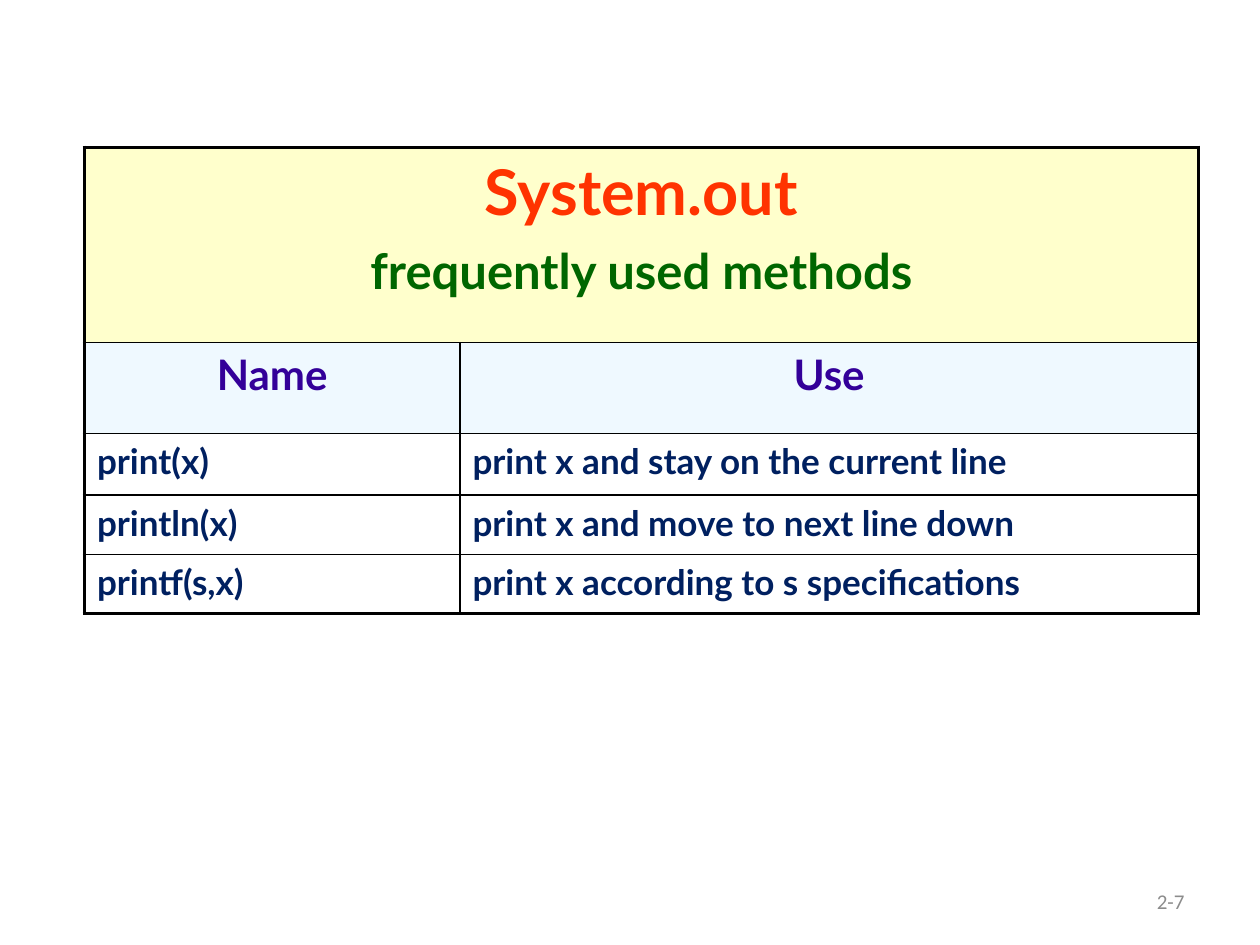
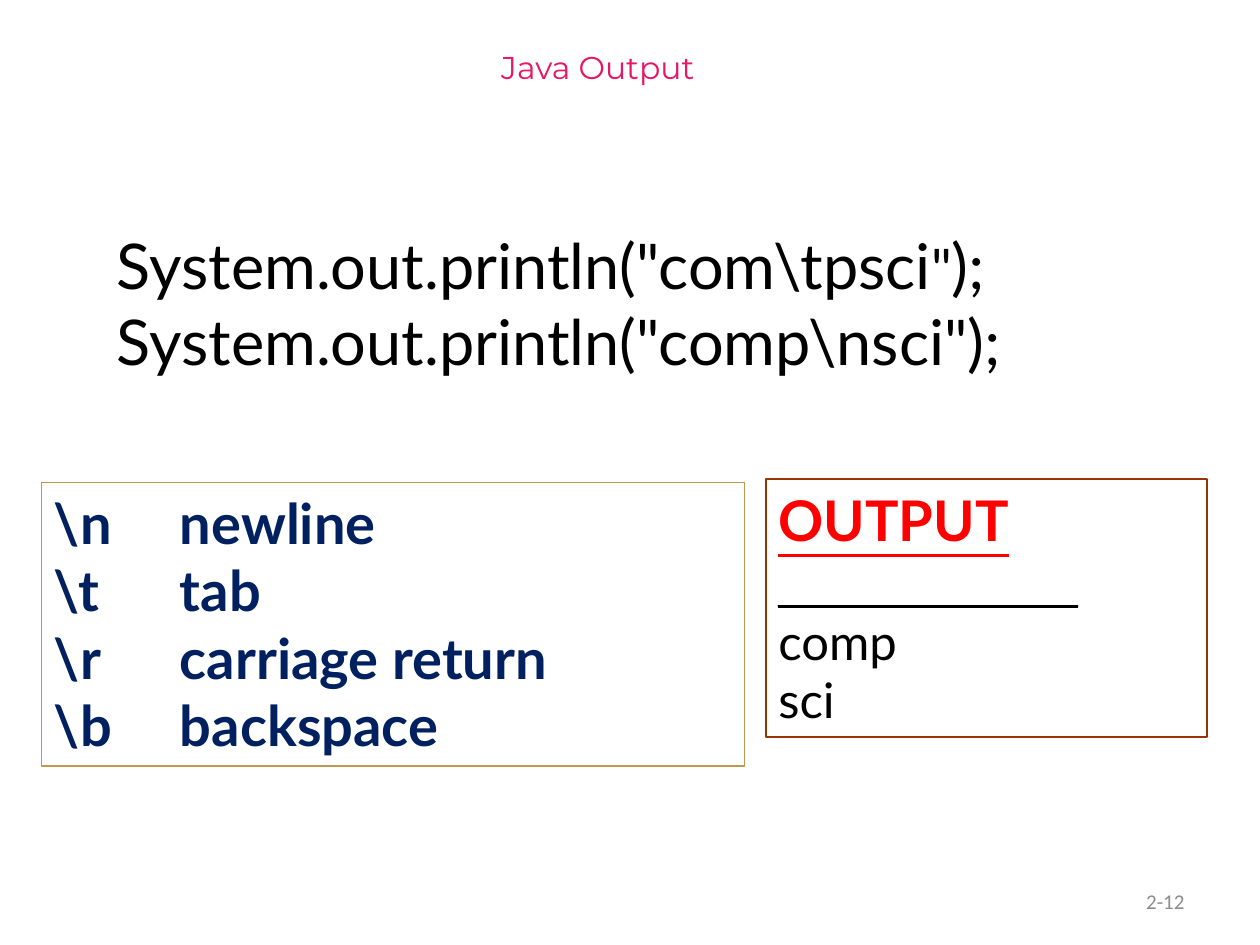
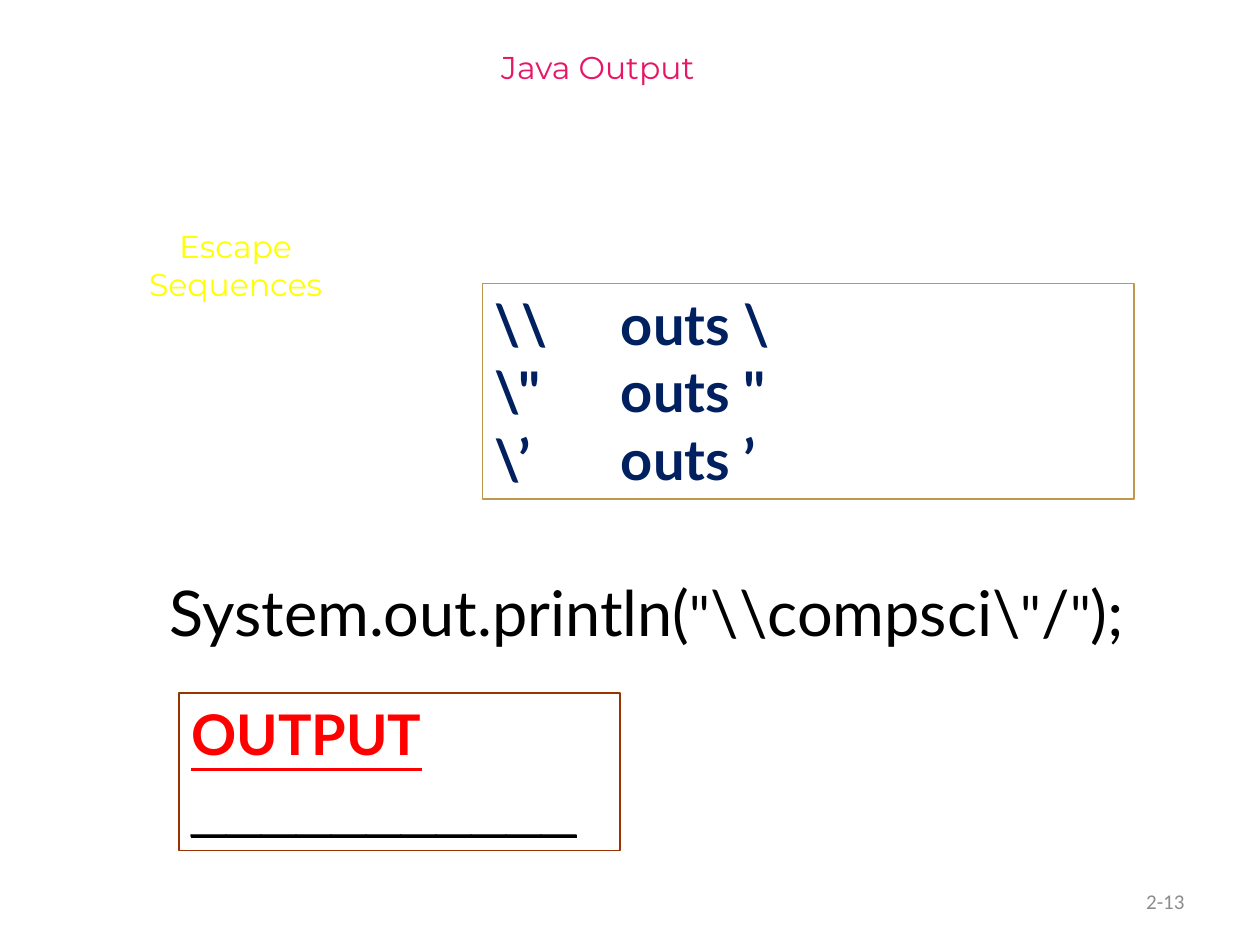
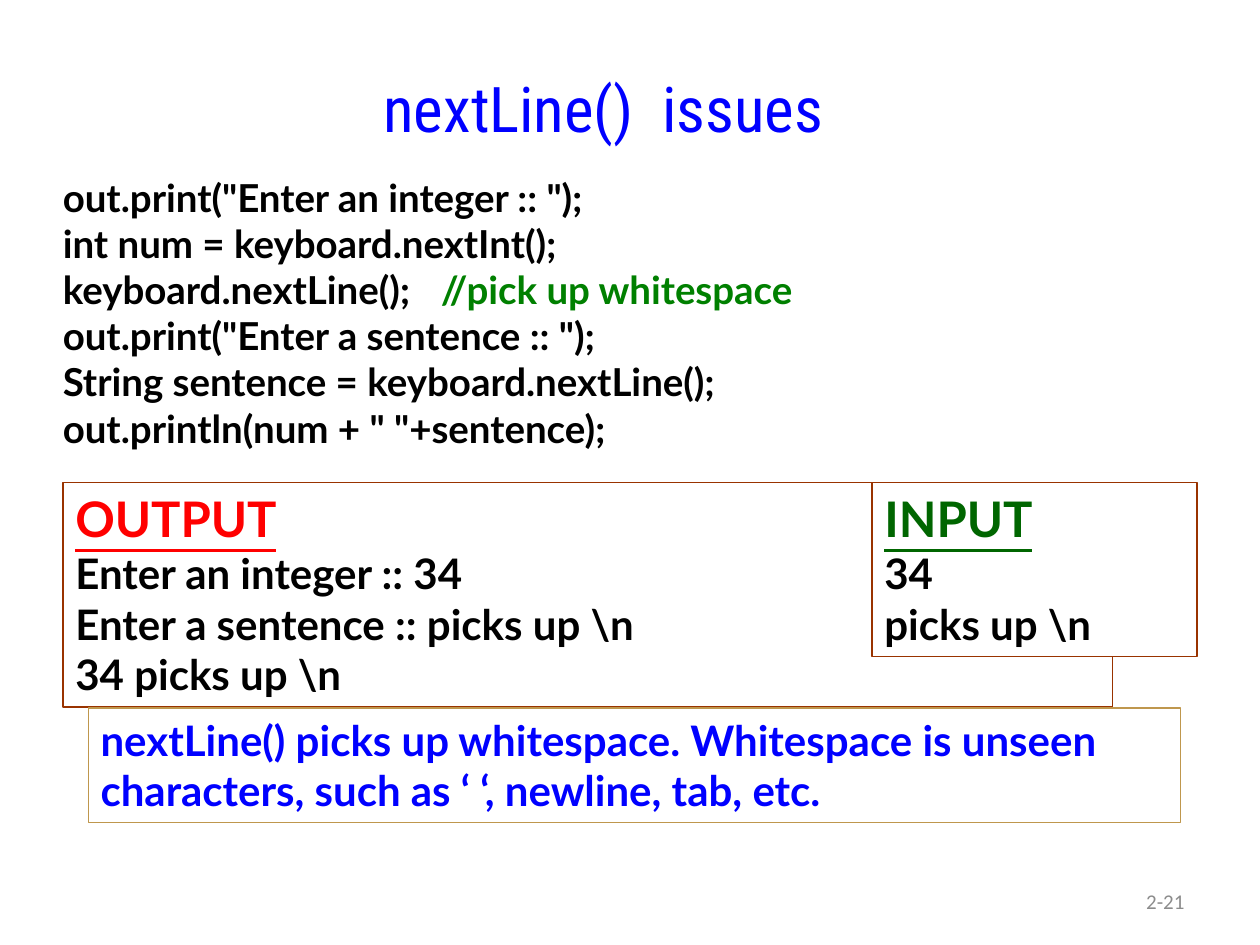
from lxml import etree
from pptx import Presentation
from pptx.dml.color import RGBColor
from pptx.enum import shapes, text
from pptx.oxml.ns import qn
from pptx.util import Inches, Pt

BLACK, NAVY, RED, GREEN, BLUE = "000000", "002060", "FF0000", "006600", "0000FF"
RUST, GOLD, WHITE = "993300", "BF974D", "FFFFFF"
CODE = {"name": "Lato", "size": 36, "bold": False, "underline": False, "color": BLACK}
STRONG = {**CODE, "bold": True}
BANNER = {**CODE, "name": "Montserrat", "size": 18, "color": "E81766"}
ESCAPES = {**STRONG, "size": 32, "color": NAVY}
HEADING = {"size": 32, "bold": True, "underline": True, "color": RED}
QUOTE, REST = {"size": 32}, {"size": 36}
LEFT, CENTER, RIGHT = text.PP_ALIGN.LEFT, text.PP_ALIGN.CENTER, text.PP_ALIGN.RIGHT


def rgb(value):
    return RGBColor.from_string(value)


class Deck:
    def __init__(self):
        self.prs = Presentation()
        self.prs.slide_width, self.prs.slide_height = Inches(10), Inches(7.5)
        self.s = None

    def slide(self, number):
        self.s = self.prs.slides.add_slide(self.prs.slide_layouts[6])
        self.label((7.17, 6.95, 2.33, 0.4), [number],
                   {**CODE, "name": "Calibri", "size": 12, "color": "8C8C8C"},
                   RIGHT, anchor=text.MSO_ANCHOR.MIDDLE)

    def add_lines(self, tf, lines, style, align=LEFT, gap=0):
        style = dict(style)
        for i, line in enumerate(lines):
            p = tf.paragraphs[0] if i == 0 else tf.add_paragraph()
            p.alignment = align
            if gap and i:
                p.space_before = Pt(gap)
            for content, changes in [(line, {})] if isinstance(line, str) else line:
                style.update(changes)
                r = p.add_run()
                r.text = content
                values = {**style, "size": Pt(style["size"])}
                r.font.color.rgb = rgb(values.pop("color"))
                for key, value in values.items():
                    setattr(r.font, key, value)

    def frame(self, tf, wrap, grow, anchor=text.MSO_ANCHOR.TOP):
        fit = text.MSO_AUTO_SIZE
        values = {"word_wrap": wrap, "vertical_anchor": anchor,
                  "auto_size": fit.SHAPE_TO_FIT_TEXT if grow else fit.NONE}
        for key, value in values.items():
            setattr(tf, key, value)

    def label(self, at, lines, style, align=LEFT, wrap=True, grow=False,
              anchor=text.MSO_ANCHOR.TOP):
        sp = self.s.shapes.add_textbox(*map(Inches, at))
        self.frame(sp.text_frame, wrap, grow, anchor)
        self.add_lines(sp.text_frame, lines, style, align)

    def title(self, at, lines, style):
        self.label(at, lines, style, CENTER, wrap=False)

    def code(self, at, lines):
        self.label(at, lines, CODE, wrap=False, grow=True)

    def banner(self):
        self.title((1.33, 0.33, 6.83, 1.42), ["Java Output"], BANNER)

    def box(self, at, lines, style, line=None, fill=None, width=1, wrap=True):
        sp = self.s.shapes.add_shape(shapes.MSO_SHAPE.RECTANGLE, *map(Inches, at))
        sp.shadow.inherit = False
        if fill:
            sp.fill.solid()
            sp.fill.fore_color.rgb = rgb(fill)
        else:
            sp.fill.background()
        if line:
            sp.line.color.rgb = rgb(line)
            sp.line.width = Pt(width)
        else:
            sp.line.fill.background()
        self.frame(sp.text_frame, wrap, True)
        self.add_lines(sp.text_frame, lines, style)

    def border(self, cell, side, width):
        tcPr = cell._tc.get_or_add_tcPr()
        ln = etree.SubElement(tcPr, qn("a:ln" + side), w=str(Pt(width)))
        fill = etree.SubElement(ln, qn("a:solidFill"))
        etree.SubElement(fill, qn("a:srgbClr"), val=BLACK)

    def table(self, at, widths, heights, rows):
        table = self.s.shapes.add_table(len(rows), len(widths), *map(Inches, at)).table
        table.first_row = table.horz_banding = False
        for column, width in zip(table.columns, widths):
            column.width = Inches(width)
        for row, height in zip(table.rows, heights):
            row.height = Inches(height)
        table.cell(0, 0).merge(table.cell(0, len(widths) - 1))
        last_row, last_col = len(rows) - 1, len(widths) - 1
        for i, (cells, style, align, fill, alpha) in enumerate(rows):
            for j in range(len(widths)):
                cell = table.cell(i, j)
                outer = {"L": j == 0, "R": j == last_col or cell.is_merge_origin,
                         "T": i == 0, "B": i == last_row}
                for side, edge in outer.items():
                    self.border(cell, side, 2.25 if edge else 1)
                if fill:
                    cell.fill.solid()
                    cell.fill.fore_color.rgb = rgb(fill)
                    if alpha < 100:
                        color = cell._tc.tcPr.find(qn("a:solidFill"))[0]
                        etree.SubElement(color, qn("a:alpha"), val=str(alpha * 1000))
                else:
                    cell.fill.background()
                if j < len(cells):
                    self.add_lines(cell.text_frame, cells[j], style, align, gap=7)


def methods_slide(deck):
    deck.slide("2-7")
    caption = [[("System.out", {})],
               [("frequently used methods", {"size": 28, "color": GREEN})]]
    methods = [("print(x)", "print x and stay on the current line"),
               ("println(x)", "print x and move to next line down"),
               ("printf(s,x)", "print x according to s specifications")]
    rows = [([caption], {**STRONG, "color": "FF3300"}, CENTER, "FFFFCC", 100),
            ([["Name"], ["Use"]], {**STRONG, "size": 24, "color": "330099"},
             CENTER, "E1F4FF", 50)]
    rows += [([[name], [use]], {**STRONG, "size": 20, "color": NAVY}, LEFT, None, 100)
             for name, use in methods]
    deck.table((0.67, 1.17, 8.84, 3.7), (2.98, 5.86),
               (1.55, 0.72, 0.49, 0.47, 0.47), rows)


def output_slide(deck):
    deck.slide("2-12")
    deck.banner()
    deck.code((0.83, 1.75, 7.5, 1.92),
              [[('System.out.println("com\\tpsci', {}), ('"', QUOTE), (");", REST)],
               'System.out.println("comp\\nsci");'])
    deck.box((6.08, 3.8, 3.5, 2.05),
             [[("OUTPUT", HEADING)],
              [("___________ ", {"name": "Arial", "size": 28, "color": BLACK}),
               ("comp", {"name": "Lato", "bold": False, "underline": False})],
              "sci"], CODE, RUST)
    meanings = [("\\n", "newline"), ("\\t", "tab"),
                ("\\r", "carriage return"), ("\\b", "backspace")]
    deck.box((0.33, 3.83, 5.58, 2.25), [f"{mark}\t\t{use}" for mark, use in meanings],
             ESCAPES, GOLD, wrap=False)


def escapes_slide(deck):
    deck.slide("2-13")
    deck.banner()
    deck.box((3.83, 2.25, 5.17, 1.71), [f"\\{c}\t\touts {c}" for c in '\\"’'],
             ESCAPES, GOLD)
    deck.code((1.25, 4.5, 7.86, 1.23),
              [[("System.out.println(", {}), ('"', QUOTE), ("\\\\compsci\\", REST),
                ('"', QUOTE), ("/", REST), ('"', QUOTE), (");", REST)]])
    deck.box((1.42, 5.5, 3.5, 1.25),
             [[("OUTPUT", HEADING)],
              [("___________", {"name": "Arial", "size": 36, "color": BLACK})]],
             CODE, RUST)
    deck.title((0.58, 1.75, 2.58, 2.08), ["Escape", "Sequences"],
               {**BANNER, "color": "FFFF00"})


def next_line_slide(deck):
    deck.slide("2-21")
    deck.box((0.4, 1.33, 9.25, 2.32),
             ['out.print("Enter an integer :: ");',
              "int num = keyboard.nextInt();",
              [("keyboard.nextLine();\t", {}),
               ("//pick up whitespace", {"color": "008000"})],
              [('out.print("Enter a sentence :: ");', {"color": BLACK})],
              "String sentence = keyboard.nextLine();",
              'out.println(num + " "+sentence);'],
             {**STRONG, "size": 22}, fill=WHITE)
    deck.title((1.75, 0.5, 6.08, 0.83), ["nextLine()  issues"],
               {**CODE, "name": "Roboto Condensed", "color": BLUE})
    heading = {**HEADING, "size": 28}
    body = {"size": 24, "underline": False, "color": BLACK}
    deck.box((0.5, 3.83, 8.33, 1.78),
             [[("OUTPUT", heading)], [("Enter an integer :: 34", body)],
              "Enter a sentence :: picks up \\n", "34 picks up \\n"], STRONG, RUST)
    deck.box((6.92, 3.83, 2.58, 1.38),
             [[("INPUT", {**heading, "color": GREEN})], [("34", body)],
              "picks up \\n"], STRONG, RUST, WHITE)
    deck.box((0.7, 5.62, 8.67, 0.91),
             ["nextLine() picks up whitespace. Whitespace is unseen characters, "
              "such as ‘ ‘, newline, tab, etc."],
             {**STRONG, "size": 24, "color": BLUE}, GOLD, WHITE, 0.75)


def main():
    deck = Deck()
    for build in (methods_slide, output_slide, escapes_slide, next_line_slide):
        build(deck)
    deck.prs.save("out.pptx")


if __name__ == "__main__":
    main()
